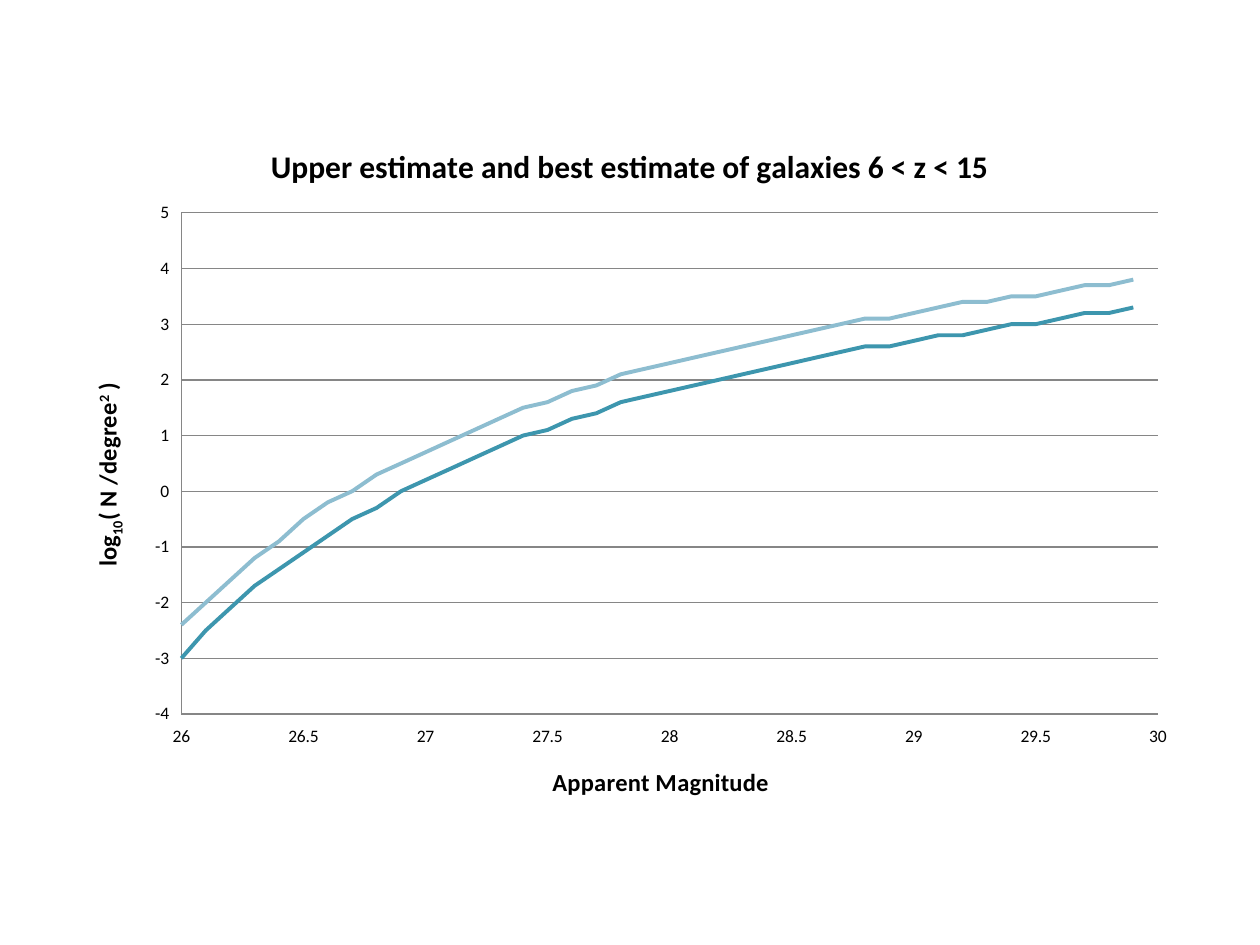
"""Builds a slide with a scatter chart of estimated galaxy counts by magnitude."""
import lxml.etree
import pptx
import pptx.chart.data
import pptx.dml.color
import pptx.enum.chart
import pptx.util

PX = 914400 // 126
CHART_BOX = (72, 118, 1116, 708)
PLOT_BOX = (181, 213, 976, 501)
FONT = "Calibri"
BLACK, GREY = "000000", "868686"
TITLE = "Upper estimate and best estimate of galaxies 6 < z < 15"
X_TITLE = [("Apparent Magnitude", 0)]
Y_TITLE = [("log", 0), ("10", -25000), ("( N /degree", 0), ("2", 30000), (" )", 0)]
SERIES = [
    ("Series 1", "3D96AE", [
        -3, -2.5, -2.1, -1.7, -1.4, -1.1, -0.8, -0.5, -0.3, 0,
        0.2, 0.4, 0.6, 0.8, 1, 1.1, 1.3, 1.4, 1.6, 1.7,
        1.8, 1.9, 2, 2.1, 2.2, 2.3, 2.4, 2.5, 2.6, 2.6,
        2.7, 2.8, 2.8, 2.9, 3, 3, 3.1, 3.2, 3.2, 3.3]),
    ("Series 2", "8DBDD0", [
        -2.4, -2, -1.6, -1.2, -0.9, -0.5, -0.2, 0, 0.3, 0.5,
        0.7, 0.9, 1.1, 1.3, 1.5, 1.6, 1.8, 1.9, 2.1, 2.2,
        2.3, 2.4, 2.5, 2.6, 2.7, 2.8, 2.9, 3, 3.1, 3.1,
        3.2, 3.3, 3.4, 3.4, 3.5, 3.5, 3.6, 3.7, 3.7, 3.8]),
]


def color(value):
    return pptx.dml.color.RGBColor.from_string(value)


def style_font(font, size, bold=False):
    font.name, font.size, font.bold = FONT, pptx.util.Pt(size), bold
    font.color.rgb = color(BLACK)


def style_line(line, value, width):
    line.color.rgb = color(value)
    line.width = pptx.util.Pt(width)


def write_title(title, spans, size):
    para = title.text_frame.paragraphs[0]
    for text, baseline in spans:
        span = para.add_run()
        span.text = text
        style_font(span.font, size, True)
        if baseline:
            span._r.get_or_add_rPr().set("baseline", str(baseline))


def style_axis(axis, low, high, step, spans):
    axis.minimum_scale, axis.maximum_scale, axis.major_unit = low, high, step
    axis.major_tick_mark = pptx.enum.chart.XL_TICK_MARK.NONE
    axis.minor_tick_mark = pptx.enum.chart.XL_TICK_MARK.NONE
    axis.tick_label_position = pptx.enum.chart.XL_TICK_LABEL_POSITION.LOW
    axis.tick_labels.number_format = "General"
    axis.tick_labels.number_format_is_linked = False
    style_font(axis.tick_labels.font, 10)
    style_line(axis.format.line, GREY, 0.75)
    write_title(axis.axis_title, spans, 14)


def place_plot(chart):
    plot_area = chart._chartSpace.chart.plotArea
    namespace = plot_area.nsmap["c"]
    for old in plot_area.findall(f"{{{namespace}}}layout"):
        plot_area.remove(old)
    layout = lxml.etree.Element(f"{{{namespace}}}layout")
    manual = lxml.etree.SubElement(layout, f"{{{namespace}}}manualLayout")
    left, top, width, height = CHART_BOX
    plot_left, plot_top, plot_width, plot_height = PLOT_BOX
    settings = {
        "layoutTarget": "inner", "xMode": "edge", "yMode": "edge",
        "x": round((plot_left - left) / width, 3),
        "y": round((plot_top - top) / height, 3),
        "w": round(plot_width / width, 3),
        "h": round(plot_height / height, 3),
    }
    for name, value in settings.items():
        lxml.etree.SubElement(manual, f"{{{namespace}}}{name}").set("val", str(value))
    plot_area.insert(0, layout)


def add_estimates(page):
    data = pptx.chart.data.XyChartData()
    for name, _, values in SERIES:
        points = data.add_series(name)
        for index, value in enumerate(values):
            points.add_data_point(round(26 + index / 10, 1), value)
    chart = page.shapes.add_chart(
        pptx.enum.chart.XL_CHART_TYPE.XY_SCATTER_SMOOTH_NO_MARKERS,
        *(length * PX for length in CHART_BOX), data).chart
    style_font(chart.font, 10)
    chart.has_legend = False
    chart.has_title = True
    write_title(chart.chart_title, [(TITLE, 0)], 18)
    chart.chart_title.include_in_layout = False
    style_axis(chart.category_axis, 26, 30, 0.5, X_TITLE)
    style_axis(chart.value_axis, -4, 5, 1, Y_TITLE)
    chart.category_axis.has_major_gridlines = False
    chart.value_axis.has_major_gridlines = True
    style_line(chart.value_axis.major_gridlines.format.line, GREY, 0.75)
    body = chart.value_axis.axis_title.text_frame._txBody.bodyPr
    body.set("rot", "-5400000")
    body.set("vert", "horz")
    chart.plots[0].vary_by_categories = False
    for series, (_, value, _) in zip(chart.plots[0].series, SERIES):
        series.smooth = True
        series.marker.style = pptx.enum.chart.XL_MARKER_STYLE.NONE
        style_line(series.format.line, value, 2.25)
    place_plot(chart)


def main():
    deck = pptx.Presentation()
    deck.slide_width, deck.slide_height = 1260 * PX, 945 * PX
    page = deck.slides.add_slide(deck.slide_layouts[6])
    add_estimates(page)
    deck.save("out.pptx")


if __name__ == "__main__":
    main()
